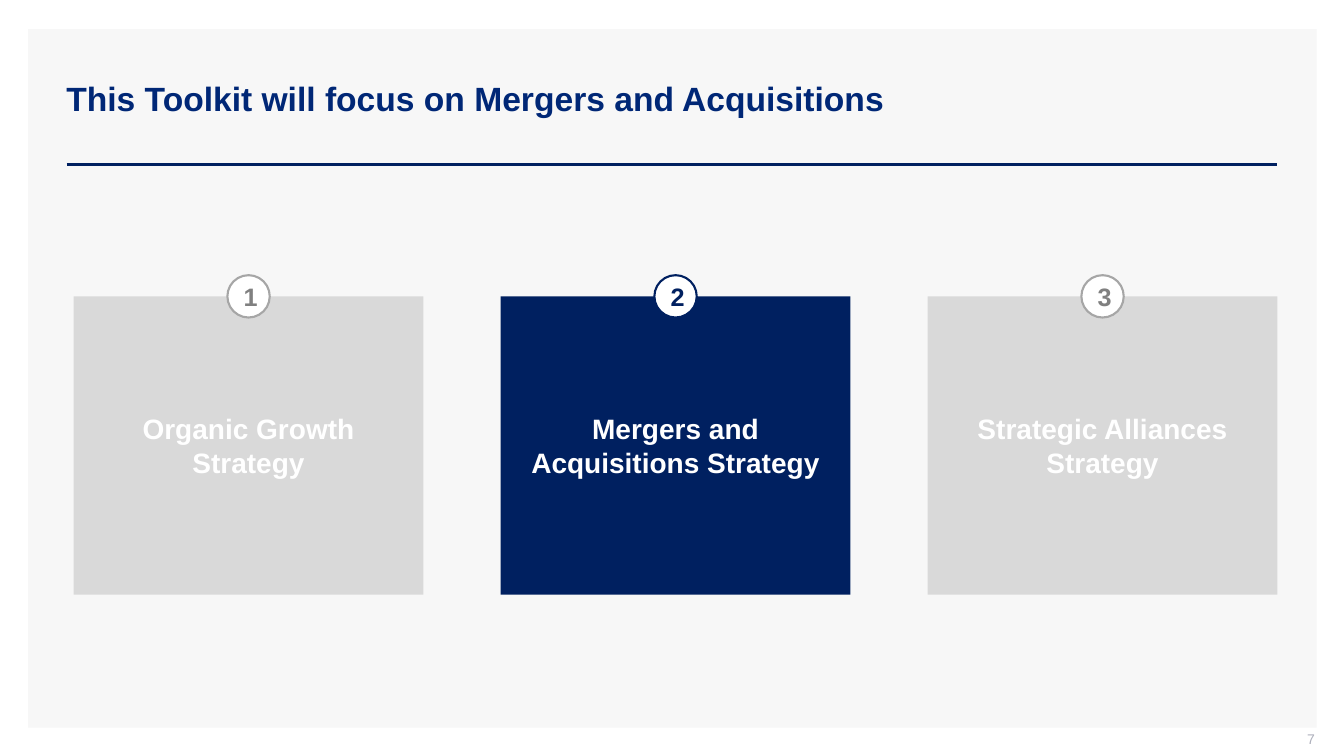
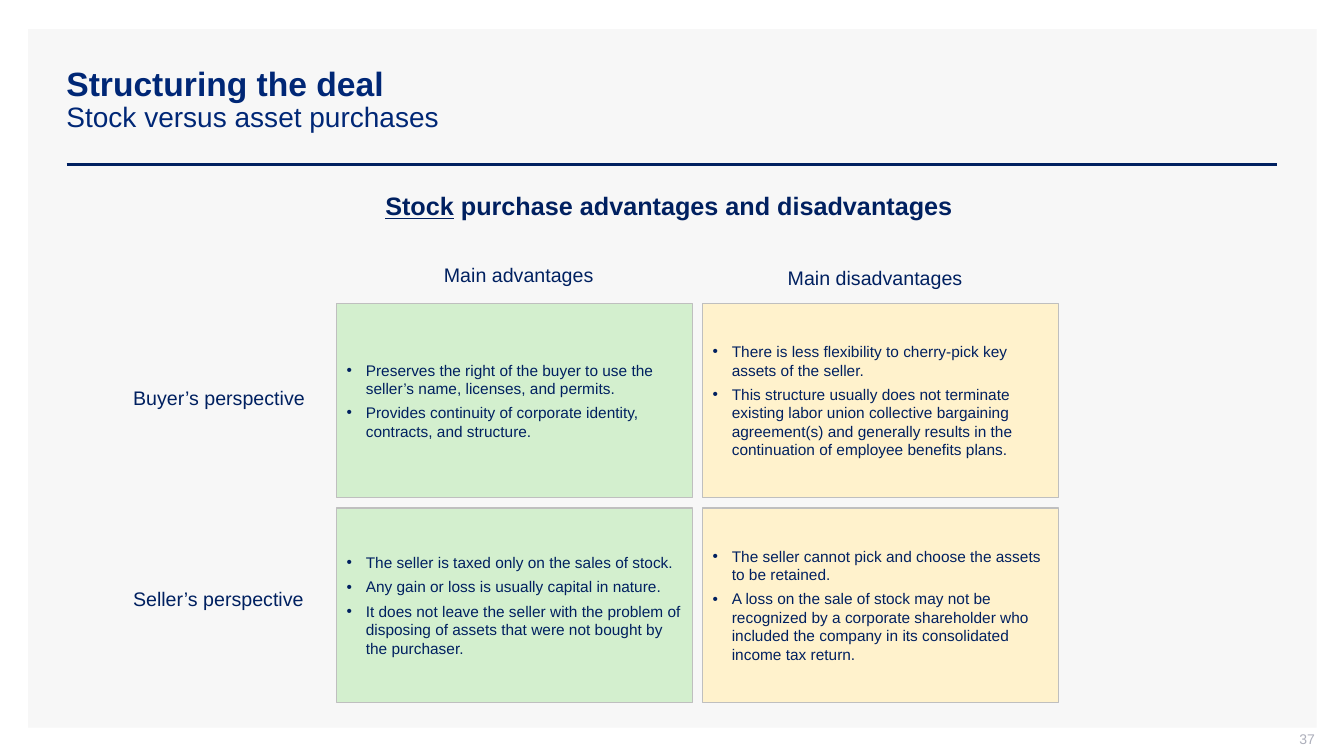
from dataclasses import dataclass

import lxml.etree
import pptx
import pptx.dml.color
import pptx.enum.shapes
import pptx.enum.text
import pptx.oxml.ns
import pptx.shapes.autoshape
import pptx.slide
import pptx.text.text
import pptx.util

Inches = pptx.util.Inches
Pt = pptx.util.Pt
Align = pptx.enum.text.PP_ALIGN
Anchor = pptx.enum.text.MSO_ANCHOR
Preset = pptx.enum.shapes.MSO_SHAPE


@dataclass(frozen=True)
class Theme:
    font: str = "Arial"
    navy: str = "002060"
    title: str = "002776"
    white: str = "FFFFFF"
    panel: str = "F7F7F7"
    muted_fill: str = "D9D9D9"
    muted_line: str = "A6A6A6"
    muted_text: str = "808080"
    page_number: str = "ADAFBB"
    advantage: str = "D3EFCE"
    disadvantage: str = "FFF2CC"
    cell_line: str = "BFBFBF"
    title_size: int = 24
    subtitle_size: int = 20
    card_size: int = 20
    heading_size: int = 18
    label_size: int = 14
    body_size: int = 11
    page_size: int = 10


THEME = Theme()


@dataclass(frozen=True)
class Box:
    left: float
    top: float
    width: float
    height: float

    def lengths(self) -> tuple[pptx.util.Length, ...]:
        return tuple(Inches(n) for n in (self.left, self.top, self.width, self.height))


@dataclass(frozen=True)
class Style:
    size: int
    color: str = THEME.navy
    bold: bool = False
    align: Align = Align.CENTER
    anchor: Anchor = Anchor.MIDDLE
    insets: tuple[float, float, float, float] = (0.1, 0.05, 0.1, 0.05)
    wrap: bool = True


@dataclass(frozen=True)
class StrategyCard:
    text: str
    fill: str
    accent: str
    number_color: str


@dataclass(frozen=True)
class Label:
    text: str
    box: Box
    style: Style


@dataclass(frozen=True)
class Perspective:
    advantages: tuple[str, ...]
    disadvantages: tuple[str, ...]


TITLE = Style(THEME.title_size, THEME.title, bold=True, align=Align.LEFT)
PAGE = Style(THEME.page_size, THEME.page_number, align=Align.RIGHT, insets=(0.1, 0, 0, 0.05))
CARD = Style(THEME.card_size, THEME.white, bold=True)
HEADING = Style(THEME.heading_size, bold=True, anchor=Anchor.TOP)
COLUMN_LABEL = Style(THEME.label_size, anchor=Anchor.TOP, wrap=False)
ROW_LABEL = Style(THEME.label_size, align=Align.LEFT, anchor=Anchor.TOP,
                  insets=(0.2, 0.1, 0.2, 0.1), wrap=False)
BODY = Style(THEME.body_size, align=Align.LEFT)

CARDS = (
    StrategyCard("Organic Growth Strategy", THEME.muted_fill, THEME.muted_line, THEME.muted_text),
    StrategyCard("Mergers and Acquisitions Strategy", THEME.navy, THEME.navy, THEME.navy),
    StrategyCard("Strategic Alliances Strategy", THEME.muted_fill, THEME.muted_line, THEME.muted_text),
)

LABELS = (
    Label("Main advantages", Box(4.3, 2.56, 1.69, 0.34), COLUMN_LABEL),
    Label("Main disadvantages", Box(7.71, 2.59, 1.94, 0.34), COLUMN_LABEL),
    Label("Buyer’s perspective", Box(1.12, 3.73, 2.11, 0.43), ROW_LABEL),
    Label("Seller’s perspective", Box(1.12, 5.72, 2.1, 0.43), ROW_LABEL),
)

PERSPECTIVES = (
    Perspective(
        ("Preserves the right of the buyer to use the seller’s name, licenses, and permits.",
         "Provides continuity of corporate identity, contracts, and structure."),
        ("There is less flexibility to cherry-pick key assets of the seller.",
         "This structure usually does not terminate existing labor union collective bargaining "
         "agreement(s) and generally results in the continuation of employee benefits plans."),
    ),
    Perspective(
        ("The seller is taxed only on the sales of stock.",
         "Any gain or loss is usually capital in nature.",
         "It does not leave the seller with the problem of disposing of assets that were not "
         "bought by the purchaser."),
        ("The seller cannot pick and choose the assets to be retained.",
         "A loss on the sale of stock may not be recognized by a corporate shareholder who "
         "included the company in its consolidated income tax return."),
    ),
)


def rgb(color: str) -> pptx.dml.color.RGBColor:
    return pptx.dml.color.RGBColor.from_string(color)


def format_run(run: pptx.text.text._Run, style: Style) -> None:
    run.font.name = THEME.font
    run.font.size = Pt(style.size)
    run.font.bold = style.bold
    run.font.color.rgb = rgb(style.color)


def write(shape: pptx.shapes.autoshape.Shape, text: str, style: Style) -> pptx.text.text.TextFrame:
    frame = shape.text_frame
    frame.text = text
    frame.word_wrap = style.wrap
    frame.vertical_anchor = style.anchor
    left, top, right, bottom = style.insets
    frame.margin_left, frame.margin_top = Inches(left), Inches(top)
    frame.margin_right, frame.margin_bottom = Inches(right), Inches(bottom)
    for paragraph in frame.paragraphs:
        paragraph.alignment = style.align
        for run in paragraph.runs:
            format_run(run, style)
    return frame


def add_text(slide: pptx.slide.Slide, box: Box, text: str, style: Style) -> pptx.text.text.TextFrame:
    return write(slide.shapes.add_textbox(*box.lengths()), text, style)


def add_filled(slide: pptx.slide.Slide, preset: Preset, box: Box, fill: str,
               line: str | None = None, line_width: float = 0.75) -> pptx.shapes.autoshape.Shape:
    shape = slide.shapes.add_shape(preset, *box.lengths())
    shape.shadow.inherit = False
    shape.fill.solid()
    shape.fill.fore_color.rgb = rgb(fill)
    if line is None:
        shape.line.fill.background()
    else:
        shape.line.color.rgb = rgb(line)
        shape.line.width = Pt(line_width)
    return shape


def add_bullet(paragraph: pptx.text.text._Paragraph) -> None:
    qualified = pptx.oxml.ns.qn
    properties = paragraph._p.get_or_add_pPr()
    properties.set("marL", str(Inches(0.19)))
    properties.set("indent", str(-Inches(0.19)))
    color = lxml.etree.SubElement(properties, qualified("a:buClr"))
    lxml.etree.SubElement(color, qualified("a:srgbClr"), val=THEME.navy)
    lxml.etree.SubElement(properties, qualified("a:buFont"), typeface=THEME.font)
    lxml.etree.SubElement(properties, qualified("a:buChar"), char="•")


def add_bullet_cell(slide: pptx.slide.Slide, box: Box, fill: str, items: tuple[str, ...]) -> None:
    shape = add_filled(slide, Preset.RECTANGLE, box, fill, THEME.cell_line)
    frame = write(shape, "\n".join(items), BODY)
    for index, paragraph in enumerate(frame.paragraphs):
        add_bullet(paragraph)
        paragraph.space_before = Pt(2 if index else 0)
        paragraph.space_after = Pt(2)


def add_base_slide(presentation: pptx.presentation.Presentation, title: str, page: int,
                   subtitle: str = "") -> pptx.slide.Slide:
    slide = presentation.slides.add_slide(presentation.slide_layouts[6])
    add_filled(slide, Preset.RECTANGLE, Box(0.28, 0.29, 12.78, 6.93), THEME.panel)
    rule = slide.shapes.add_connector(pptx.enum.shapes.MSO_CONNECTOR.STRAIGHT,
                                      Inches(0.66), Inches(1.63), Inches(12.67), Inches(1.63))
    rule.line.color.rgb = rgb(THEME.navy)
    rule.line.width = Pt(2)
    lxml.etree.SubElement(rule._element.spPr, pptx.oxml.ns.qn("a:effectLst"))
    text = f"{title}\v{subtitle}" if subtitle else title
    paragraph = add_text(slide, Box(0.56, 0.4, 12.11, 1.19), text, TITLE).paragraphs[0]
    paragraph.line_spacing = 0.9
    for run in paragraph.runs[1:]:
        run.font.size = Pt(THEME.subtitle_size)
        run.font.bold = False
    add_text(slide, Box(10.04, 7.25, 3, 0.21), str(page), PAGE)
    return slide


def build_focus_slide(presentation: pptx.presentation.Presentation) -> None:
    slide = add_base_slide(presentation, "This Toolkit will focus on Mergers and Acquisitions", 7)
    first, pitch, badge = Box(0.73, 2.94, 3.47, 2.96), 4.235, 0.42
    for index, card in enumerate(CARDS):
        box = Box(first.left + index * pitch, first.top, first.width, first.height)
        write(add_filled(slide, Preset.RECTANGLE, box, card.fill), card.text, CARD)
        badge_box = Box(box.left + (box.width - badge) / 2, box.top - badge / 2, badge, badge)
        circle = add_filled(slide, Preset.OVAL, badge_box, THEME.white, card.accent, 1.5)
        number_style = Style(THEME.heading_size, card.number_color, bold=True, insets=(0.04, 0, 0, 0))
        write(circle, str(index + 1), number_style)


def build_deal_slide(presentation: pptx.presentation.Presentation) -> None:
    slide = add_base_slide(presentation, "Structuring the deal", 37, "Stock versus asset purchases")
    heading = add_text(slide, Box(3.57, 1.84, 6.13, 0.4), "Stock", HEADING).paragraphs[0]
    heading.runs[0].font.underline = True
    remainder = heading.add_run()
    remainder.text = " purchase advantages and disadvantages"
    format_run(remainder, HEADING)
    for label in LABELS:
        add_text(slide, label.box, label.text, label.style)
    first, gap = Box(3.34, 3.01, 3.53, 1.93), 0.1
    for row, perspective in enumerate(PERSPECTIVES):
        columns = ((THEME.advantage, perspective.advantages),
                   (THEME.disadvantage, perspective.disadvantages))
        for column, (fill, items) in enumerate(columns):
            box = Box(first.left + column * (first.width + gap),
                      first.top + row * (first.height + gap), first.width, first.height)
            add_bullet_cell(slide, box, fill, items)


def main() -> None:
    presentation = pptx.Presentation()
    presentation.slide_width = Inches(13.33)
    presentation.slide_height = Inches(7.5)
    build_focus_slide(presentation)
    build_deal_slide(presentation)
    presentation.save("out.pptx")


if __name__ == "__main__":
    main()
